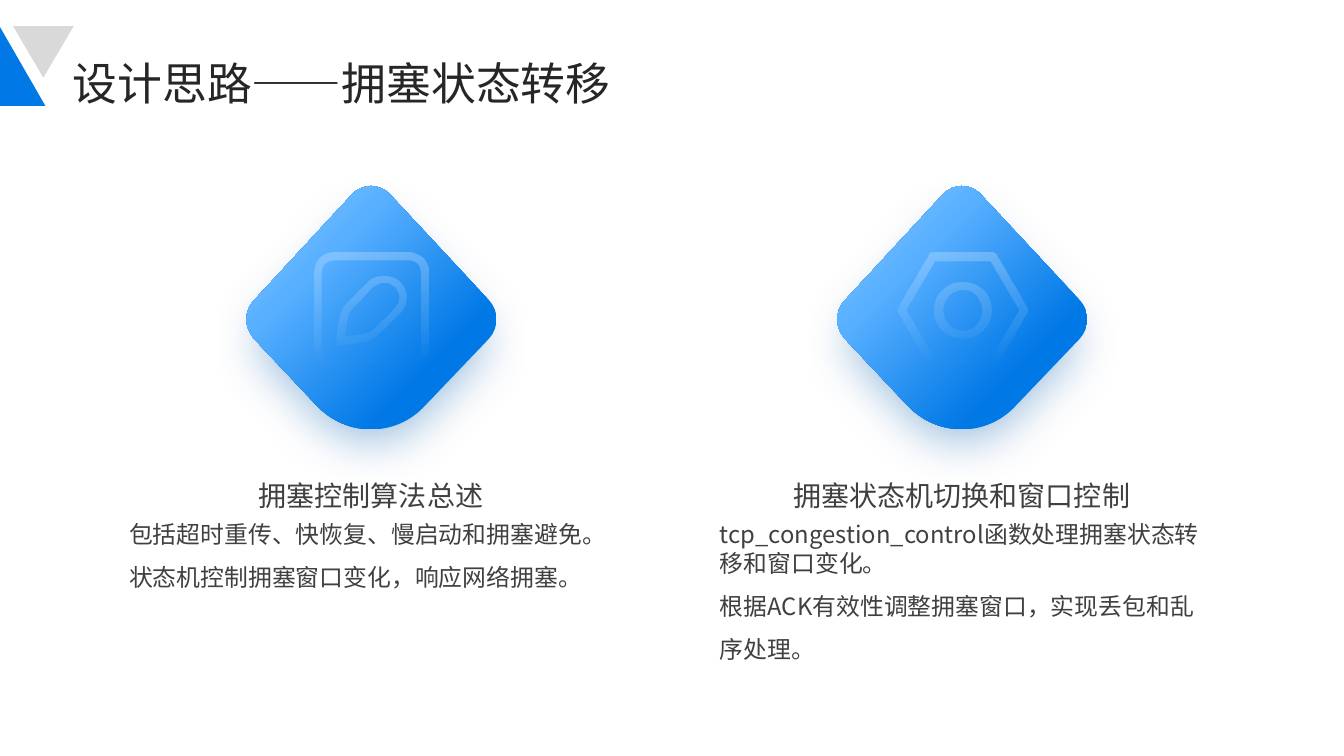
from dataclasses import dataclass

from lxml import etree
from pptx import Presentation
from pptx import util as u
from pptx.dml.color import RGBColor
from pptx.enum import shapes, text
from pptx.oxml import ns


@dataclass
class Theme:
    font: str = "Noto Sans CJK SC"
    blue: str = "0078E6"
    gray: str = "D9D9D9"
    ink: str = "262626"
    body: str = "404040"
    shade: str = "005AAC"
    big: int = 32
    mid: int = 20
    small: int = 17


theme = Theme()
spaces = ns.nsdecls("a")

# One contour per line; segments split by ";": one point is a line, three a curve.
GEM = """2.52,2.98; 3.5,1.92 3.5,1.92 3.5,1.92; 3.6,1.82 3.76,1.82 3.86,1.92; 4.85,2.98 4.85,2.98 4.85,2.98; 4.95,3.08 4.95,3.25 4.85,3.36; 4.22,4.02 4.22,4.02 4.22,4.02; 3.93,4.34 3.44,4.34 3.14,4.02; 2.52,3.36 2.52,3.36 2.52,3.36; 2.42,3.25 2.42,3.08 2.52,2.98"""
PEN = """3.81,2.81; 3.77,2.81 3.73,2.83 3.7,2.85; 3.48,3.08; 3.45,3.11 3.43,3.23 3.42,3.34; 3.54,3.33 3.66,3.31 3.69,3.28; 3.91,3.06; 3.97,3 3.97,2.91 3.91,2.85; 3.88,2.83 3.85,2.81 3.81,2.81
3.81,2.74; 3.86,2.74 3.92,2.76 3.96,2.8; 4.05,2.88 4.05,3.03 3.96,3.11; 3.74,3.33; 3.65,3.42 3.34,3.42 3.34,3.42; 3.34,3.42 3.34,3.11 3.43,3.02; 3.65,2.8; 3.69,2.76 3.75,2.74 3.81,2.74
3.3,2.59; 3.24,2.59 3.19,2.64 3.19,2.7; 3.19,3.46; 3.19,3.52 3.24,3.57 3.3,3.57; 4.06,3.57; 4.12,3.57 4.17,3.52 4.17,3.46; 4.17,2.7; 4.17,2.64 4.12,2.59 4.06,2.59
3.3,2.51; 4.06,2.51; 4.16,2.51 4.25,2.6 4.25,2.7; 4.25,3.46; 4.25,3.56 4.16,3.65 4.06,3.65; 3.3,3.65; 3.2,3.65 3.12,3.56 3.12,3.46; 3.12,2.7; 3.12,2.6 3.2,2.51 3.3,2.51"""
NUT = """9.55,2.88; 9.44,2.88 9.35,2.97 9.35,3.08; 9.35,3.19 9.44,3.28 9.55,3.28; 9.65,3.28 9.74,3.19 9.74,3.08; 9.74,2.97 9.65,2.88 9.55,2.88
9.55,2.8; 9.7,2.8 9.83,2.92 9.83,3.08; 9.83,3.24 9.7,3.36 9.55,3.36; 9.39,3.36 9.26,3.24 9.26,3.08; 9.26,2.92 9.39,2.8 9.55,2.8
9.27,2.6; 8.99,3.08; 9.27,3.56; 9.82,3.56; 10.1,3.08; 9.82,2.6
9.25,2.51; 9.85,2.51; 9.86,2.51 9.88,2.52 9.88,2.54; 10.18,3.06; 10.19,3.07 10.19,3.09 10.18,3.1; 9.88,3.62; 9.88,3.63 9.86,3.64 9.85,3.64; 9.25,3.64; 9.23,3.64 9.22,3.63 9.21,3.62; 8.91,3.1; 8.9,3.09 8.9,3.07 8.91,3.06; 9.21,2.54; 9.21,2.52 9.23,2.51 9.25,2.51"""

deck = Presentation()
deck.slide_width, deck.slide_height = u.Inches(13.33), u.Inches(7.5)
slide = deck.slides.add_slide(deck.slide_layouts[6])


def draw(outline, shift, stops, course):
    """Draw contours, shifted right, with a gradient of (place, colour, opacity) stops."""
    pen, counts = None, []
    for row in outline.splitlines():
        parts = [[tuple(map(float, pair.split(","))) for pair in part.split()]
                 for part in row.split(";")]
        counts += [len(part) for part in parts[1:]]
        dots = [(u.Inches(x + shift), u.Inches(y)) for part in parts for x, y in part]
        if pen is None:
            pen = slide.shapes.build_freeform(*dots[0])
        else:
            pen.move_to(*dots[0])
        pen.add_line_segments(dots[1:], close=True)
    shape = pen.convert_to_shape()
    props = shape.element.spPr

    # Join each run of three points into one curve.
    lines = iter(list(props.iter(ns.qn("a:lnTo"))))
    for count in counts:
        group = [next(lines) for _ in range(count)]
        if count == 3:
            curve = etree.Element(ns.qn("a:cubicBezTo"))
            group[0].addprevious(curve)
            for line in group:
                curve.append(line[0])
                line.getparent().remove(line)

    shape.shadow.inherit = False
    shape.line.fill.background()
    shape.fill.background()
    marks = "".join(
        f'<a:gs pos="{place * 1000}"><a:srgbClr val="{tone}">'
        f'<a:alpha val="{alpha * 1000}"/></a:srgbClr></a:gs>' for place, tone, alpha in stops)
    props.replace(props.find(ns.qn("a:noFill")), etree.fromstring(
        f'<a:gradFill {spaces} rotWithShape="1"><a:gsLst>{marks}</a:gsLst>{course}</a:gradFill>'))
    return shape


def write(place, lines, size, tone, anchor, align=None):
    """Add a text box with one paragraph per (wording, line spacing) pair."""
    box = slide.shapes.add_textbox(*map(u.Inches, place))
    frame = box.text_frame
    frame.word_wrap = True
    frame.vertical_anchor = anchor
    frame.margin_left = frame.margin_right = frame.margin_top = frame.margin_bottom = 0
    for index, (line, space) in enumerate(lines):
        para = frame.add_paragraph() if index else frame.paragraphs[0]
        para.alignment = align
        para.line_spacing = space
        run = para.add_run()
        run.text = line
        run.font.name = theme.font
        run.font.size = u.Pt(size)
        run.font.color.rgb = RGBColor.from_string(tone)
        east = etree.SubElement(run.font._element, ns.qn("a:ea"))
        east.set("typeface", theme.font)


cards = [
    (0, PEN, "拥塞控制算法总述",
     "包括超时重传、快恢复、慢启动和拥塞避免。", "状态机控制拥塞窗口变化，响应网络拥塞。"),
    (5.86, NUT, "拥塞状态机切换和窗口控制",
     "tcp_congestion_control函数处理拥塞状态转移和窗口变化。",
     "根据ACK有效性调整拥塞窗口，实现丢包和乱序处理。"),
]
top, middle, bottom = text.MSO_ANCHOR.TOP, text.MSO_ANCHOR.MIDDLE, text.MSO_ANCHOR.BOTTOM
for shift, icon, head, first, second in cards:
    gem = draw(GEM, shift, [(0, "8FC9FF", 100), (31, "57AFFF", 100), (73, theme.blue, 100)],
               '<a:path path="circle"><a:fillToRect r="100000" b="100000"/></a:path>')
    glow = gem.element.spPr.find(ns.qn("a:effectLst"))
    glow.append(etree.fromstring(
        f'<a:outerShdw {spaces} blurRad="{u.Pt(35)}" dist="{u.Pt(25)}" dir="5400000" '
        f'sx="90000" sy="90000" algn="t" rotWithShape="0"><a:srgbClr val="{theme.shade}">'
        '<a:alpha val="40000"/></a:srgbClr></a:outerShdw>'))
    draw(icon, 0, [(0, "FFFFFF", 25), (100, "FFFFFF", 0)], '<a:lin ang="5400000" scaled="0"/>')
    write((1.28 + shift, 4.34, 4.8, 0.74), [(head, 1.1)], theme.mid, theme.body,
          bottom, text.PP_ALIGN.CENTER)
    write((1.28 + shift, 5.16, 4.8, 1.61), [(first, 1.0), (second, 1.5)],
          theme.small, theme.body, top)

write((0.72, 0.54, 11.88, 0.51), [("设计思路——拥塞状态转移", 1.1)], theme.big, theme.ink, middle)

for place, turn, tone in [((-0.46, 0.26, 0.91, 0.79), 0, theme.blue),
                          ((0.13, 0.26, 0.6, 0.51), 180, theme.gray)]:
    wedge = slide.shapes.add_shape(shapes.MSO_SHAPE.ISOSCELES_TRIANGLE, *map(u.Inches, place))
    wedge.rotation = turn
    wedge.shadow.inherit = False
    wedge.fill.solid()
    wedge.fill.fore_color.rgb = RGBColor.from_string(tone)
    wedge.line.fill.background()

deck.save("out.pptx")
